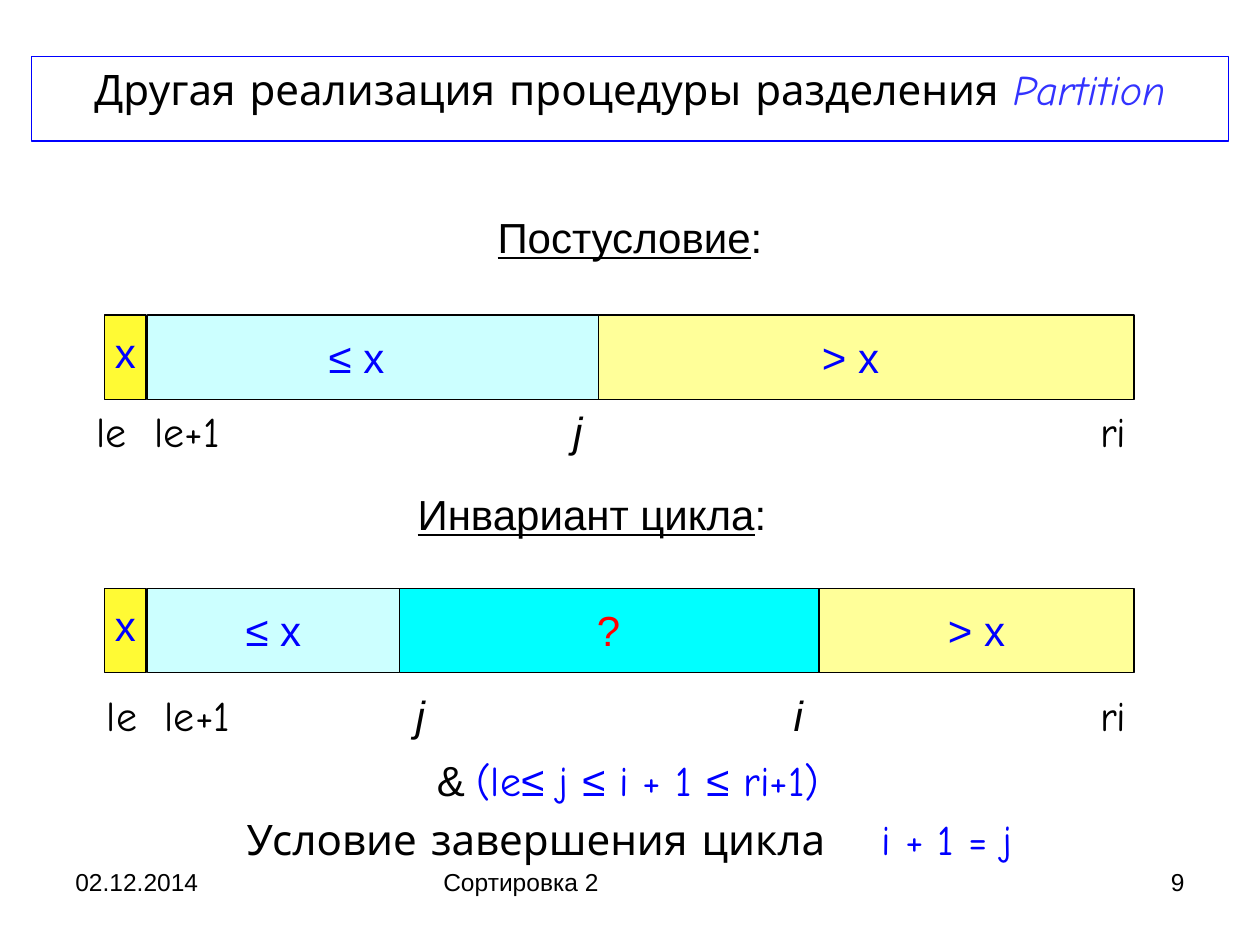
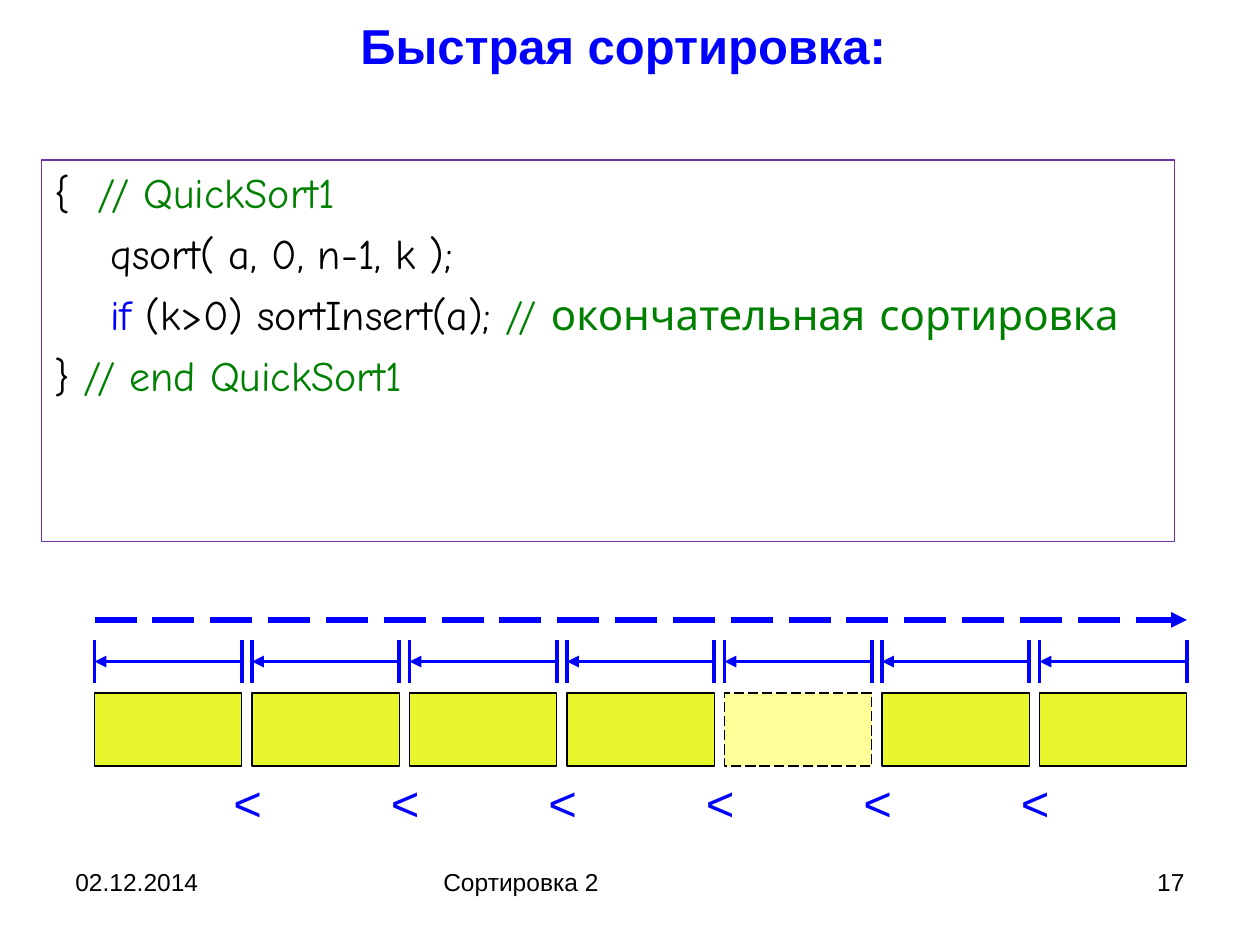
"""Build two lecture slides on array partitioning and quick sort."""
from lxml import etree
from pptx import Presentation
from pptx.dml import color as dml_color
from pptx.enum import dml, shapes, text
from pptx.oxml import ns
from pptx.util import Inches, Pt

COLORS = {
    "black": "000000", "white": "FFFFFF", "blue": "0000FF", "violet_blue": "3333FF",
    "red": "FF0000", "green": "008000", "purple": "7030A0", "pivot": "FFFA34",
    "smaller": "CCFFFF", "larger": "FFFF99", "unknown": "00FFFF", "part": "E8F62E",
}
ARIAL = "Arial"
COMIC = "Comic Neue"
LEFT, CENTER, RIGHT = text.PP_ALIGN.LEFT, text.PP_ALIGN.CENTER, text.PP_ALIGN.RIGHT
BAR_HEIGHT = 0.67


def rgb(name):
    """Return the named colour."""
    return dml_color.RGBColor.from_string(COLORS[name])


def add_run(paragraph, content, color="black", font=ARIAL, size=24,
            bold=False, italic=False, underline=False):
    """Append one formatted run to a paragraph."""
    run = paragraph.add_run()
    run.text = content
    run.font.name = font
    run.font.size = Pt(size)
    run.font.bold = bold
    run.font.italic = italic
    run.font.underline = underline
    run.font.color.rgb = rgb(color)


def place(shape, left, top, width, height):
    """Move and size a shape, in inches."""
    shape.left, shape.top = Inches(left), Inches(top)
    shape.width, shape.height = Inches(width), Inches(height)


def set_outline(shape, color, dash=None):
    """Give a shape a thin outline."""
    shape.line.color.rgb = rgb(color)
    shape.line.width = Pt(0.75)
    if dash:
        shape.line.dash_style = dash


def prepare_frame(shape, inset_x=0.1, inset_y=0.05):
    """Set wrapping, anchor and insets, and return the text frame."""
    frame = shape.text_frame
    frame.word_wrap = True
    frame.auto_size = text.MSO_AUTO_SIZE.NONE
    frame.vertical_anchor = text.MSO_ANCHOR.TOP
    frame.margin_left = frame.margin_right = Inches(inset_x)
    frame.margin_top = frame.margin_bottom = Inches(inset_y)
    return frame


def add_label(slide, box, runs, align=CENTER, insets=(0.1, 0.05)):
    """Add a one-paragraph text box from (text, format) runs."""
    shape = slide.shapes.add_textbox(*map(Inches, box))
    paragraph = prepare_frame(shape, *insets).paragraphs[0]
    paragraph.alignment = align
    for content, style in runs:
        add_run(paragraph, content, **style)


def add_box(slide, box, fill, dash=None):
    """Add a filled rectangle with a thin black outline."""
    shape = slide.shapes.add_shape(shapes.MSO_SHAPE.RECTANGLE, *map(Inches, box))
    shape.shadow.inherit = False
    shape.fill.solid()
    shape.fill.fore_color.rgb = rgb(fill)
    set_outline(shape, "black", dash)


def add_line(parent, start, end, width=2.25, dash=None, arrow=False):
    """Add a straight blue line, with an arrowhead at its end if asked."""
    points = map(Inches, (*start, *end))
    connector = parent.shapes.add_connector(shapes.MSO_CONNECTOR.STRAIGHT, *points)
    connector.line.color.rgb = rgb("blue")
    connector.line.width = Pt(width)
    if dash:
        connector.line.dash_style = dash
    if arrow:
        outline = connector.line._get_or_add_ln()
        etree.SubElement(outline, ns.qn("a:tailEnd"), type="triangle")
    etree.SubElement(connector._element.spPr, ns.qn("a:effectLst"))


def set_title(slide, box, runs):
    """Fill and place the title placeholder."""
    title = slide.shapes.title
    place(title, *box)
    paragraph = prepare_frame(title).paragraphs[0]
    paragraph.alignment = CENTER
    for content, style in runs:
        add_run(paragraph, content, **style)
    return title


def add_footer(slide, number):
    """Add the date, lecture name and slide number."""
    for left, width, content, align in (
        (0.5, 2.33, "02.12.2014", LEFT),
        (3.42, 3.17, "Сортировка 2", LEFT),
        (7.17, 2.33, str(number), RIGHT),
    ):
        add_label(slide, (left, 6.83, width, 0.52), [(content, {"size": 14})], align)


def add_array_bar(slide, top, segments):
    """Draw the pivot cell and (left, right, fill, label, centre, colour) segments."""
    add_box(slide, (0.83, top, 0.33, BAR_HEIGHT), "pivot")
    add_label(slide, (0.83, top + 0.08, 0.33, 0.42), [("x", {"color": "blue"})],
              insets=(0.02, 0.01))
    for left, right, fill, label, center, color in segments:
        add_box(slide, (left, top, right - left, BAR_HEIGHT), fill)
        add_label(slide, (center - 0.6, top + 0.08, 1.2, 0.5), [(label, {"color": color})])


def add_index_row(slide, top, start, variables):
    """Label the bounds of an array and the (name, left) index variables."""
    for name, left in (("le", start), ("le+1", start + 0.46)):
        add_label(slide, (left, top, 1, 0.5), [(name, {"font": COMIC})], LEFT)
    for name, left in variables:
        add_label(slide, (left, top, 0.67, 0.5), [(name, {"italic": True})])
    add_label(slide, (8.5, top, 0.67, 0.5), [("ri", {"font": COMIC})])


def add_code(slide, box, lines):
    """Fill the body placeholder with framed lines of code."""
    body = slide.placeholders[1]
    place(body, *box)
    body.fill.solid()
    body.fill.fore_color.rgb = rgb("white")
    set_outline(body, "purple")
    frame = prepare_frame(body)
    for index, line in enumerate(lines):
        paragraph = frame.paragraphs[0] if index == 0 else frame.add_paragraph()
        properties = paragraph._p.get_or_add_pPr()
        properties.set("marL", "0")
        properties.set("indent", "0")
        etree.SubElement(properties, ns.qn("a:buNone"))
        paragraph.space_before = Pt(6 if index else 0)
        for content, color in line:
            add_run(paragraph, content, color, COMIC)


def add_sorted_parts(slide, count=7, pending=4):
    """Draw the array parts with their scan brackets and order signs."""
    first, pitch, width = 0.75, 1.25, 1.17
    long_dash = dml.MSO_LINE.LONG_DASH
    for index in range(count):
        left = first + index * pitch
        right = left + width
        fill, dash = ("larger", long_dash) if index == pending else ("part", None)
        add_box(slide, (left, 5.5, width, 0.58), fill, dash)
        bracket = slide.shapes.add_group_shape()
        add_line(bracket, (right, 5.25), (left, 5.25), arrow=True)
        for edge in (right, left):
            add_line(bracket, (edge, 5.08), (edge, 5.42))
        if index < count - 1:
            add_label(slide, (right - 0.33, 6.08, 0.75, 0.57),
                      [("<", {"color": "blue", "size": 28})])
    add_line(slide, (first, 4.92), (right, 4.92), 3, long_dash, arrow=True)


def build_partition_slide(presentation):
    """Build the slide on the partition procedure."""
    slide = presentation.slides.add_slide(presentation.slide_layouts[5])
    title = set_title(slide, (0.25, 0.45, 9.5, 0.67), [
        ("Другая реализация процедуры разделения ", {"font": COMIC}),
        ("Partition", {"font": COMIC, "color": "violet_blue", "italic": True}),
    ])
    set_outline(title, "blue")
    underlined = {"underline": True}
    add_label(slide, (0.25, 1.63, 9.5, 0.5), [("Постусловие", underlined), (":", {})])
    add_array_bar(slide, 2.5, [
        (1.17, 4.75, "smaller", "≤ x", 2.83, "blue"),
        (4.75, 9, "larger", "> x", 6.75, "blue"),
    ])
    add_index_row(slide, 3.17, 0.67, [("j", 4.25)])
    add_label(slide, (2.33, 3.83, 4.83, 0.5), [("Инвариант цикла", underlined), (": ", {})])
    add_array_bar(slide, 4.67, [
        (1.17, 3.17, "smaller", "≤ x", 2.17, "blue"),
        (3.17, 6.5, "unknown", "?", 4.83, "red"),
        (6.5, 9, "larger", "> x", 7.75, "blue"),
    ])
    add_index_row(slide, 5.42, 0.75, [("j", 3), ("i", 6)])
    formula = {"font": COMIC, "color": "blue"}
    sign = {"color": "blue"}
    add_label(slide, (0.82, 5.94, 8.33, 0.5), [
        ("& ", {}), ("(le", formula), ("≤", sign), (" j ", formula), ("≤", sign),
        (" i + 1 ", formula), ("≤", sign), (" ri+1)", formula),
    ])
    add_label(slide, (1.86, 6.41, 5, 0.5), [("Условие завершения цикла", {"font": COMIC})], LEFT)
    add_label(slide, (6.9, 6.41, 2, 0.5), [("i + 1 = j", formula)], LEFT)
    add_footer(slide, 9)


def build_quick_sort_slide(presentation):
    """Build the slide on quick sort."""
    slide = presentation.slides.add_slide(presentation.slide_layouts[1])
    title = set_title(slide, (0.5, 0.16, 9, 0.49), [
        ("Быстрая сортировка: ", {"color": "blue", "size": 28, "bold": True}),
    ])
    title.text_frame.paragraphs[0].line_spacing = 0.8
    add_code(slide, (0.33, 1.27, 8.99, 3.03), [
        [("{  ", "black"), ("// QuickSort1", "green")],
        [("    qsort( a, 0, n-1, k );", "black")],
        [("    if ", "blue"), ("(k>0) sortInsert(a); ", "black"),
         ("// окончательная сортировка", "green")],
        [("} ", "black"), ("// end QuickSort1", "green")],
    ])
    add_sorted_parts(slide)
    add_footer(slide, 17)


def main():
    """Create the presentation and save it."""
    presentation = Presentation()
    presentation.slide_width, presentation.slide_height = Inches(10), Inches(7.5)
    build_partition_slide(presentation)
    build_quick_sort_slide(presentation)
    presentation.save("out.pptx")


if __name__ == "__main__":
    main()
